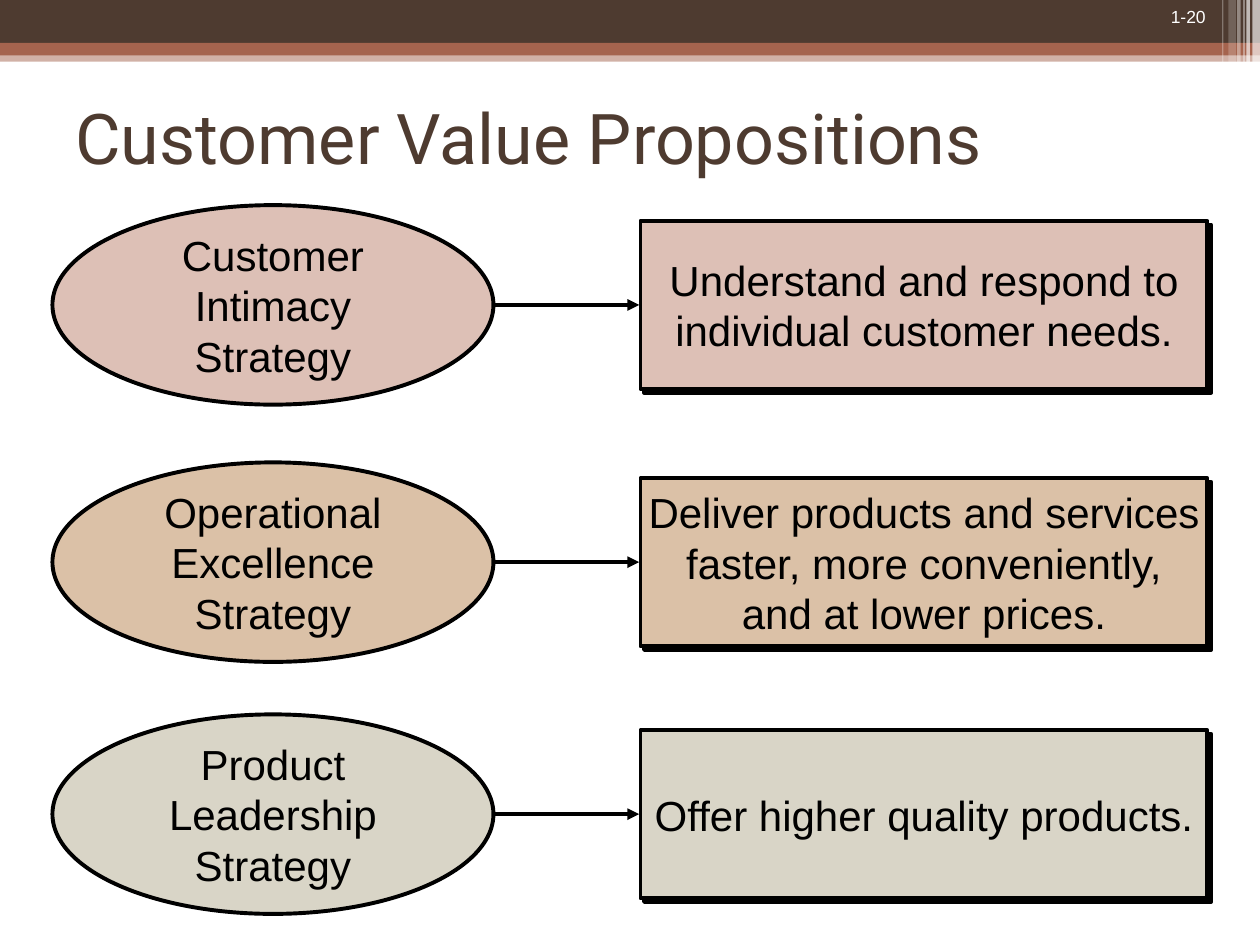
import pptx
import pptx.util
import pptx.oxml
import pptx.oxml.ns
import pptx.dml.color
import pptx.enum.shapes
import pptx.enum.text
from dataclasses import dataclass

Pt = pptx.util.Pt
Shape = pptx.enum.shapes.MSO_SHAPE
Align = pptx.enum.text.PP_ALIGN
Anchor = pptx.enum.text.MSO_ANCHOR


@dataclass(frozen=True)
class Theme:
    brown: str = "4E3B30"
    rust: str = "A5644E"
    white: str = "FFFFFF"
    black: str = "000000"
    body_font: str = "Arial"
    title_font: str = "Roboto"
    number_size: float = 10
    title_size: float = 40
    body_size: float = 24
    outline: float = 2.25


THEME = Theme()
TITLE = "Customer Value Propositions"
PAGE_NUMBER = "1-20"
STRATEGIES = [
    ("DDC0B6", 174.25, ["Customer", "Intimacy", "Strategy"],
     ["Understand and respond to", "individual customer needs."]),
    ("DBC1A7", 321.25, ["Operational", "Excellence", "Strategy"],
     ["Deliver products and services", "faster, more conveniently,", "and at lower prices."]),
    ("D9D5C7", 465.25, ["Product", "Leadership", "Strategy"],
     ["Offer higher quality products."]),
]
BANDS = [
    (28.8, 6.5, THEME.rust, 50),
    (0, 24.5, THEME.brown, 100),
    (24.5, 7.2, THEME.rust, 100),
]
STRIPES = [
    (715.6, 4.4, 49, 65),
    (712.2, 2, 49, 65),
    (710.5, 0.7, 49, 60),
    (707, 2, 49, 40),
    (702, 4.3, 46, 20),
    (698.4, 0.7, 46, 30),
]
PAGE_WIDTH, PAGE_HEIGHT = 720, 540
OVAL_LEFT, OVAL_WIDTH, OVAL_HEIGHT = 30, 252, 114
BOX_LEFT, BOX_WIDTH, BOX_HEIGHT = 366, 324, 96
ARROW_GAP = 0.75


def color(value):
    return pptx.dml.color.RGBColor.from_string(value)


def element(parent, xml):
    node = pptx.oxml.parse_xml(xml.replace(">", f" {pptx.oxml.ns.nsdecls('a')}>", 1))
    parent.append(node)
    return node


def add_filled(shapes, kind, frame, fill, opacity=100):
    shape = shapes.add_shape(kind, *map(Pt, frame))
    shape.shadow.inherit = False
    shape.fill.solid()
    shape.fill.fore_color.rgb = color(fill)
    shape.line.fill.background()
    if opacity < 100:
        tint = shape.fill._xPr.find(".//" + pptx.oxml.ns.qn("a:srgbClr"))
        element(tint, f'<a:alpha><!----></a:alpha>').set("val", str(opacity * 1000))
    return shape


def write(shape, lines, font, size, ink, align, anchor, wrap):
    frame = shape.text_frame
    frame.word_wrap = wrap
    frame.vertical_anchor = anchor
    para = frame.paragraphs[0]
    para.alignment = align
    for index, line in enumerate(lines):
        if index:
            para.add_line_break()
        span = para.add_run()
        span.text = line
        span.font.name = font
        span.font.size = Pt(size)
        span.font.color.rgb = color(ink)


def add_label(shapes, kind, frame, fill, lines):
    shape = add_filled(shapes, kind, frame, fill)
    shape.line.color.rgb = color(THEME.black)
    shape.line.width = Pt(THEME.outline)
    write(shape, lines, THEME.body_font, THEME.body_size, THEME.black,
          Align.CENTER, Anchor.MIDDLE, False)
    return shape


def add_drop_shadow(shape):
    effects = shape._element.spPr.find(pptx.oxml.ns.qn("a:effectLst"))
    element(effects, '<a:outerShdw><a:srgbClr val="%s"/></a:outerShdw>' % THEME.black)
    shadow = effects[0]
    for name, value in (("blurRad", 0), ("dist", Pt(3)), ("dir", 45 * 60000),
                        ("algn", "ctr"), ("rotWithShape", 0)):
        shadow.set(name, str(value))


def add_arrow(shapes, start, end, middle):
    arrow = shapes.add_connector(pptx.enum.shapes.MSO_CONNECTOR.STRAIGHT,
                                 Pt(start), Pt(middle), Pt(end), Pt(middle))
    arrow.line.color.rgb = color(THEME.black)
    arrow.line.width = Pt(THEME.outline)
    element(arrow.line._get_or_add_ln(), '<a:tailEnd></a:tailEnd>').set("type", "triangle")
    element(arrow._element.spPr, '<a:effectLst></a:effectLst>')


def add_strategy(page, fill, middle, name, promise):
    shapes = page.shapes.add_group_shape().shapes
    box = add_label(shapes, Shape.RECTANGLE,
                    (BOX_LEFT, middle - BOX_HEIGHT / 2, BOX_WIDTH, BOX_HEIGHT), fill, promise)
    add_drop_shadow(box)
    add_label(shapes, Shape.OVAL,
              (OVAL_LEFT, middle - OVAL_HEIGHT / 2, OVAL_WIDTH, OVAL_HEIGHT), fill, name)
    add_arrow(shapes, OVAL_LEFT + OVAL_WIDTH + ARROW_GAP, BOX_LEFT - ARROW_GAP, middle)


def main():
    deck = pptx.Presentation()
    deck.slide_width, deck.slide_height = Pt(PAGE_WIDTH), Pt(PAGE_HEIGHT)
    page = deck.slides.add_slide(deck.slide_layouts[6])
    for top, height, fill, opacity in BANDS:
        add_filled(page.shapes, Shape.RECTANGLE, (0, top, PAGE_WIDTH, height), fill, opacity)
    for left, width, height, opacity in STRIPES:
        add_filled(page.shapes, Shape.RECTANGLE, (left, 0, width, height), THEME.white, opacity)
    number = page.shapes.add_textbox(Pt(618), Pt(0), Pt(78), Pt(19.5))
    write(number, [PAGE_NUMBER], THEME.body_font, THEME.number_size, THEME.white,
          Align.RIGHT, Anchor.TOP, True)
    title = page.shapes.add_textbox(Pt(36), Pt(36), Pt(648), Pt(84))
    write(title, [TITLE], THEME.title_font, THEME.title_size, THEME.brown,
          Align.LEFT, Anchor.MIDDLE, True)
    for strategy in STRATEGIES:
        add_strategy(page, *strategy)
    deck.save("out.pptx")


if __name__ == "__main__":
    main()
